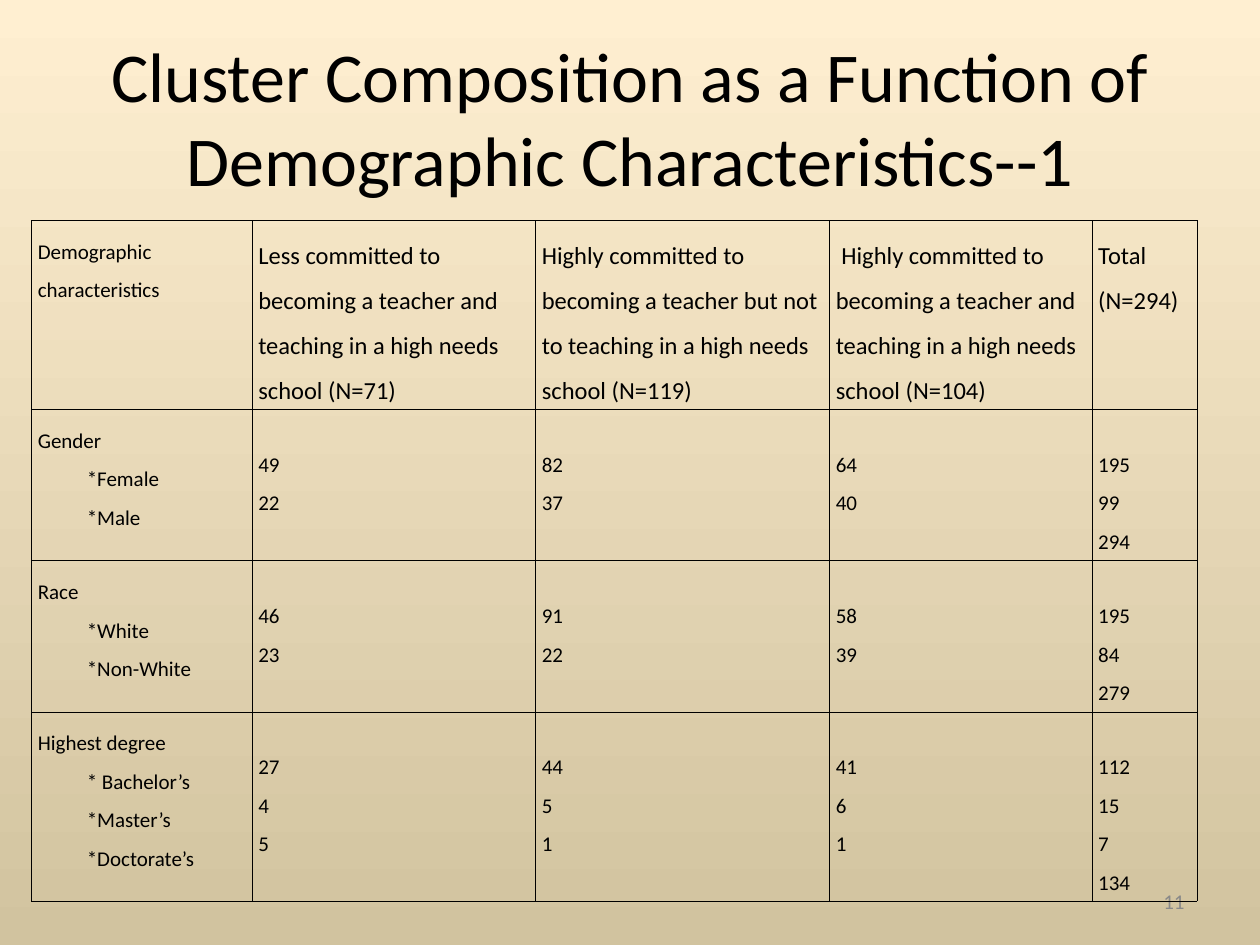
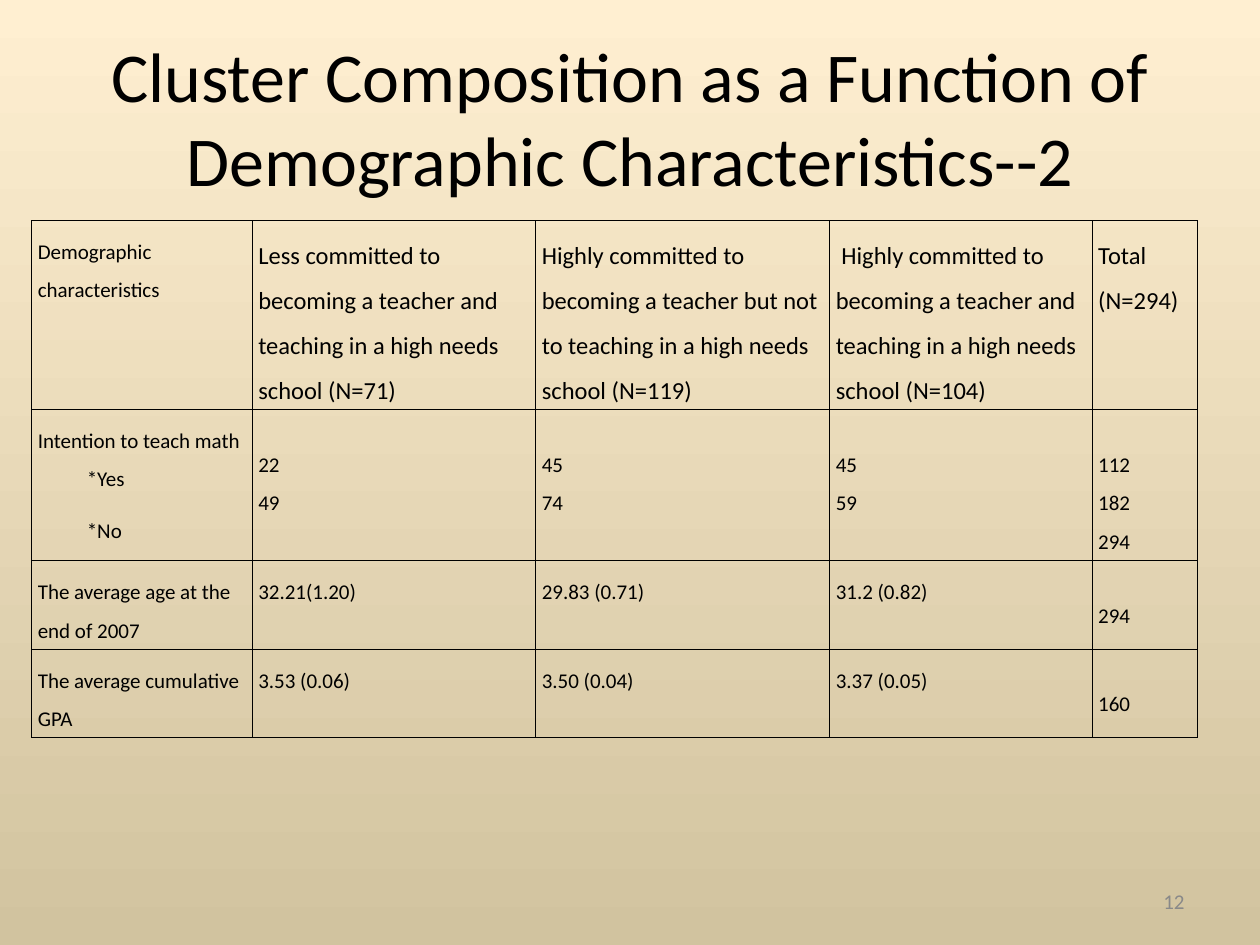
from lxml import etree
from pptx import Presentation
from pptx.dml.color import RGBColor as RGB
from pptx.enum.text import MSO_ANCHOR as Anchor, MSO_AUTO_SIZE as AutoSize, PP_ALIGN as Align
from pptx.oxml.ns import qn
from pptx.util import Pt

COLORS = {"sky": "FFEFD1", "sand": "D1C39F", "text": "000000", "number": "898989"}
FONT = "Calibri"
COLUMN_WIDTHS = [126, 162, 168, 150, 60]
CELL_MARGIN = 3.6
VALUE_DROP = 13.7  # moves values below the group label
ITEM_INDENT = 28

HEADER = [
    "Demographic characteristics",
    "Less committed to becoming a teacher and teaching in a high needs school (N=71)",
    "Highly committed to becoming a teacher but not to teaching in a high needs school (N=119)",
    " Highly committed to becoming a teacher and teaching in a high needs school (N=104)",
    "Total\n(N=294)",
]

# Each slide: number, row heights, body rows
SLIDES = [
    (11, [100.8, 86.4, 86.4, 108], [
        ["Gender\n*Female\n*Male", "49\n22", "82\n37", "64\n40", "195\n99\n294"],
        ["Race\n*White\n*Non-White", "46\n23", "91\n22", "58\n39", "195\n84\n279"],
        ["Highest degree\n* Bachelor’s\n*Master’s\n*Doctorate’s",
         "27\n4\n5", "44\n5\n1", "41\n6\n1", "112\n15\n7\n134"],
    ]),
    (12, [100.8, 86.4, 43.2, 43.2], [
        ["Intention to teach math\n*Yes\n*No", "22\n49", "45\n74", "45\n59", "112\n182\n294"],
        ["The average age at the end of 2007", "32.21(1.20)", "29.83 (0.71)", "31.2 (0.82)", "294"],
        ["The average cumulative GPA", "3.53 (0.06)", "3.50 (0.04)", "3.37 (0.05)", "160"],
    ]),
]


def format_runs(paragraph, size, color):
    for run in paragraph.runs:
        run.font.size = Pt(size)
        run.font.name = FONT
        run.font.color.rgb = RGB.from_string(COLORS[color])


def add_borders(cell):
    properties = cell._tc.get_or_add_tcPr()
    for position, side in enumerate(["lnL", "lnR", "lnT", "lnB"]):
        line = etree.Element(qn(f"a:{side}"), w=str(Pt(0.45)))
        solid = etree.SubElement(line, qn("a:solidFill"))
        etree.SubElement(solid, qn("a:srgbClr"), val=COLORS["text"])
        properties.insert(position, line)


presentation = Presentation()
presentation.slide_width, presentation.slide_height = Pt(720), Pt(540)

# Shared background, from top to bottom
background = presentation.slide_master.background.fill
background.gradient()
background.gradient_angle = 270
for stop, color, position in zip(background.gradient_stops, ["sky", "sand"], [0, 1]):
    stop.color.rgb = RGB.from_string(COLORS[color])
    stop.position = position

for part, (number, row_heights, body) in enumerate(SLIDES, start=1):
    slide = presentation.slides.add_slide(presentation.slide_layouts[5])

    # Title
    title = slide.shapes.title
    title.left, title.top, title.width, title.height = Pt(36), Pt(21.6), Pt(648), Pt(90)
    title.text_frame.text = f"Cluster Composition as a Function of Demographic Characteristics--{part}"
    title.text_frame.auto_size = AutoSize.NONE
    title.text_frame.vertical_anchor = Anchor.MIDDLE
    title.text_frame.paragraphs[0].alignment = Align.CENTER
    format_runs(title.text_frame.paragraphs[0], 40, "text")

    # Slide number
    number_frame = slide.shapes.add_textbox(Pt(516), Pt(500.4), Pt(168), Pt(28.8)).text_frame
    number_frame.word_wrap = True
    number_frame.vertical_anchor = Anchor.MIDDLE
    number_frame.text = str(number)
    number_frame.paragraphs[0].alignment = Align.RIGHT
    format_runs(number_frame.paragraphs[0], 12, "number")

    # Table grid
    rows = [HEADER] + body
    table = slide.shapes.add_table(
        len(rows), len(COLUMN_WIDTHS), Pt(18), Pt(126),
        Pt(sum(COLUMN_WIDTHS)), Pt(sum(row_heights))).table
    table.first_row = table.horz_banding = False
    for column, width in zip(table.columns, COLUMN_WIDTHS):
        column.width = Pt(width)
    for row, height in zip(table.rows, row_heights):
        row.height = Pt(height)

    # Table cells
    for row_index, texts in enumerate(rows):
        for column_index, text in enumerate(texts):
            cell = table.cell(row_index, column_index)
            cell.fill.background()
            add_borders(cell)
            is_total = column_index == len(COLUMN_WIDTHS) - 1
            dropped = row_index > 0 and column_index > 0 and (is_total or "\n" in text)
            cell.margin_left = cell.margin_right = cell.margin_bottom = Pt(CELL_MARGIN)
            cell.margin_top = Pt(CELL_MARGIN + (VALUE_DROP if dropped else 0))
            cell.text_frame.text = text
            size = 14 if row_index == 0 and column_index > 0 else 12
            for paragraph in cell.text_frame.paragraphs:
                paragraph.line_spacing = 2.0 if paragraph.text == "*No" else 1.5
                if paragraph.text.startswith("*"):
                    paragraph._p.get_or_add_pPr().set("marL", str(Pt(ITEM_INDENT)))
                format_runs(paragraph, size, "text")

presentation.save("out.pptx")
